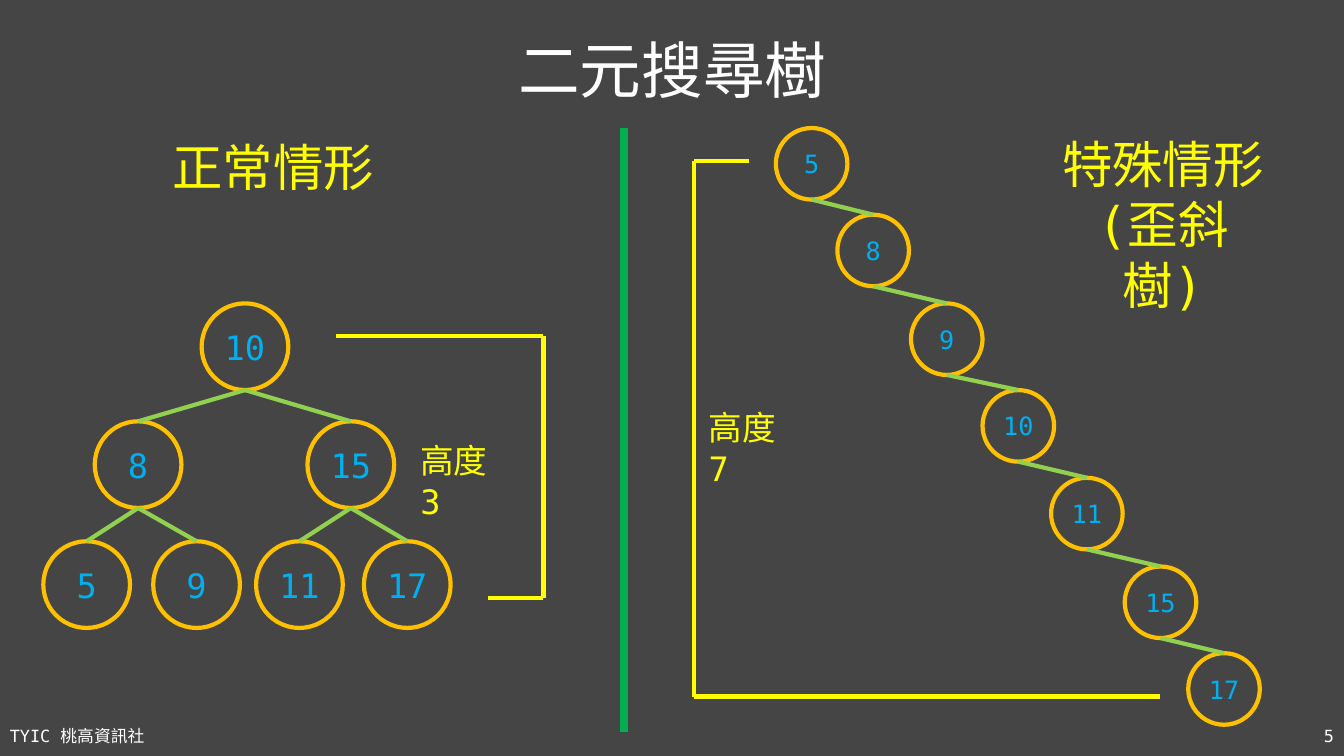
import itertools
from dataclasses import dataclass

import pptx
import pptx.dml.color
import pptx.enum.shapes
import pptx.enum.text
import pptx.oxml.ns
import pptx.slide
import pptx.util
from lxml import etree
from pptx.util import Inches

FONT = "DejaVu Sans Mono"
WHITE, YELLOW, BLUE = "FFFFFF", "FFFF00", "00B0F0"
AMBER, LIME, GREEN, GREY = "FFC000", "92D050", "00B050", "454545"
ALIGN = pptx.enum.text.PP_ALIGN
ANCHOR = pptx.enum.text.MSO_ANCHOR


@dataclass(frozen=True)
class Node:
    key: int
    x: float  # centre
    y: float  # top
    parent: int | None = None


@dataclass(frozen=True)
class Label:
    lines: tuple[str, ...]
    left: float
    top: float
    width: float
    height: float
    size: int
    color: str = YELLOW
    align: ALIGN = ALIGN.LEFT
    anchor: ANCHOR = ANCHOR.TOP
    wrap: bool = False


BALANCED_TREE = (
    Node(10, 2.43, 3.01),
    Node(8, 1.37, 4.18, 10),
    Node(15, 3.48, 4.18, 10),
    Node(5, 0.86, 5.37, 8),
    Node(9, 1.95, 5.37, 8),
    Node(11, 2.97, 5.37, 15),
    Node(17, 4.04, 5.37, 15),
)
SKEWED_TREE = (
    Node(5, 8.05, 1.27),
    Node(8, 8.66, 2.13, 5),
    Node(9, 9.39, 3.01, 8),
    Node(10, 10.1, 3.87, 9),
    Node(11, 10.78, 4.74, 10),
    Node(15, 11.51, 5.62, 11),
    Node(17, 12.14, 6.48, 15),
)
HEIGHT_BRACKETS = (
    ((3.33, 3.33), (5.39, 3.33), (5.39, 5.93), (4.84, 5.93)),
    ((7.43, 1.6), (6.88, 1.6), (6.88, 6.91), (11.51, 6.91)),
)
LABELS = (
    Label(("TYIC 桃高資訊社",), 0, 7.1, 3, 0.4, 12, WHITE, anchor=ANCHOR.MIDDLE),
    Label(("5",), 10.33, 7.1, 3, 0.4, 12, WHITE, ALIGN.RIGHT, ANCHOR.MIDDLE),
    Label(("正常情形",), 1.6, 1.3, 2.22, 0.71, 36, align=ALIGN.CENTER),
    Label(("特殊情形", "(歪斜樹)"), 10.4, 1.27, 2.27, 1.31, 36,
          align=ALIGN.CENTER, wrap=True),
    Label(("高度 3",), 4.07, 4.32, 1.25, 0.5, 24),
    Label(("高度 7",), 6.93, 3.99, 1.25, 0.5, 24),
)


def rgb(value: str) -> pptx.dml.color.RGBColor:
    return pptx.dml.color.RGBColor.from_string(value)


def write(paragraph, text: str, size: int, color: str, align: ALIGN) -> None:
    paragraph.alignment = align
    run = paragraph.add_run()
    run.text = text
    run.font.size = pptx.util.Pt(size)
    run.font.name = FONT
    run.font.color.rgb = rgb(color)
    # East Asian characters use the same typeface
    east_asian = etree.SubElement(run.font._element, pptx.oxml.ns.qn("a:ea"))
    east_asian.set("typeface", FONT)


def draw_label(slide: pptx.slide.Slide, label: Label) -> None:
    box = slide.shapes.add_textbox(Inches(label.left), Inches(label.top),
                                   Inches(label.width), Inches(label.height))
    frame = box.text_frame
    frame.word_wrap = label.wrap or label.anchor == ANCHOR.MIDDLE
    frame.vertical_anchor = label.anchor
    for index, line in enumerate(label.lines):
        paragraph = frame.add_paragraph() if index else frame.paragraphs[0]
        write(paragraph, line, label.size, label.color, label.align)


def draw_line(slide: pptx.slide.Slide, start: tuple[float, float],
              end: tuple[float, float], color: str, width: float = 3) -> None:
    connector = slide.shapes.add_connector(
        pptx.enum.shapes.MSO_CONNECTOR.STRAIGHT,
        *(Inches(value) for value in (*start, *end)))
    connector.line.color.rgb = rgb(color)
    connector.line.width = pptx.util.Pt(width)
    etree.SubElement(connector._element.spPr, pptx.oxml.ns.qn("a:effectLst"))


def draw_tree(slide: pptx.slide.Slide, nodes: tuple[Node, ...],
              diameter: float, size: int) -> None:
    by_key = {node.key: node for node in nodes}
    for node in nodes:
        circle = slide.shapes.add_shape(
            pptx.enum.shapes.MSO_SHAPE.OVAL, Inches(node.x - diameter / 2),
            Inches(node.y), Inches(diameter), Inches(diameter))
        circle.shadow.inherit = False
        circle.fill.background()
        circle.line.color.rgb = rgb(AMBER)
        circle.line.width = pptx.util.Pt(3)
        frame = circle.text_frame
        frame.word_wrap = False
        frame.vertical_anchor = ANCHOR.MIDDLE
        write(frame.paragraphs[0], str(node.key), size, BLUE, ALIGN.CENTER)
        if node.parent is not None:
            parent = by_key[node.parent]
            draw_line(slide, (parent.x, parent.y + diameter), (node.x, node.y), LIME)


def main() -> None:
    deck = pptx.Presentation()
    deck.slide_width, deck.slide_height = Inches(13.33), Inches(7.5)
    slide = deck.slides.add_slide(deck.slide_layouts[5])
    slide.background.fill.solid()
    slide.background.fill.fore_color.rgb = rgb(GREY)

    # Title
    title = slide.shapes.title
    title.left, title.top = Inches(0.92), Inches(0)
    title.width, title.height = Inches(11.5), Inches(1.45)
    title.text_frame.vertical_anchor = ANCHOR.MIDDLE
    heading = title.text_frame.paragraphs[0]
    heading.line_spacing = 0.9
    write(heading, "二元搜尋樹", 44, WHITE, ALIGN.CENTER)

    # Headings, heights and footer
    for label in LABELS:
        draw_label(slide, label)

    # Balanced tree on the left, skewed tree on the right
    draw_tree(slide, BALANCED_TREE, 0.86, 24)
    draw_tree(slide, SKEWED_TREE, 0.71, 18)
    for corners in HEIGHT_BRACKETS:
        for start, end in itertools.pairwise(corners):
            draw_line(slide, start, end, YELLOW)

    # Divider between the two cases
    draw_line(slide, (6.19, 1.27), (6.19, 7.26), GREEN, 6)

    deck.save("out.pptx")


if __name__ == "__main__":
    main()
